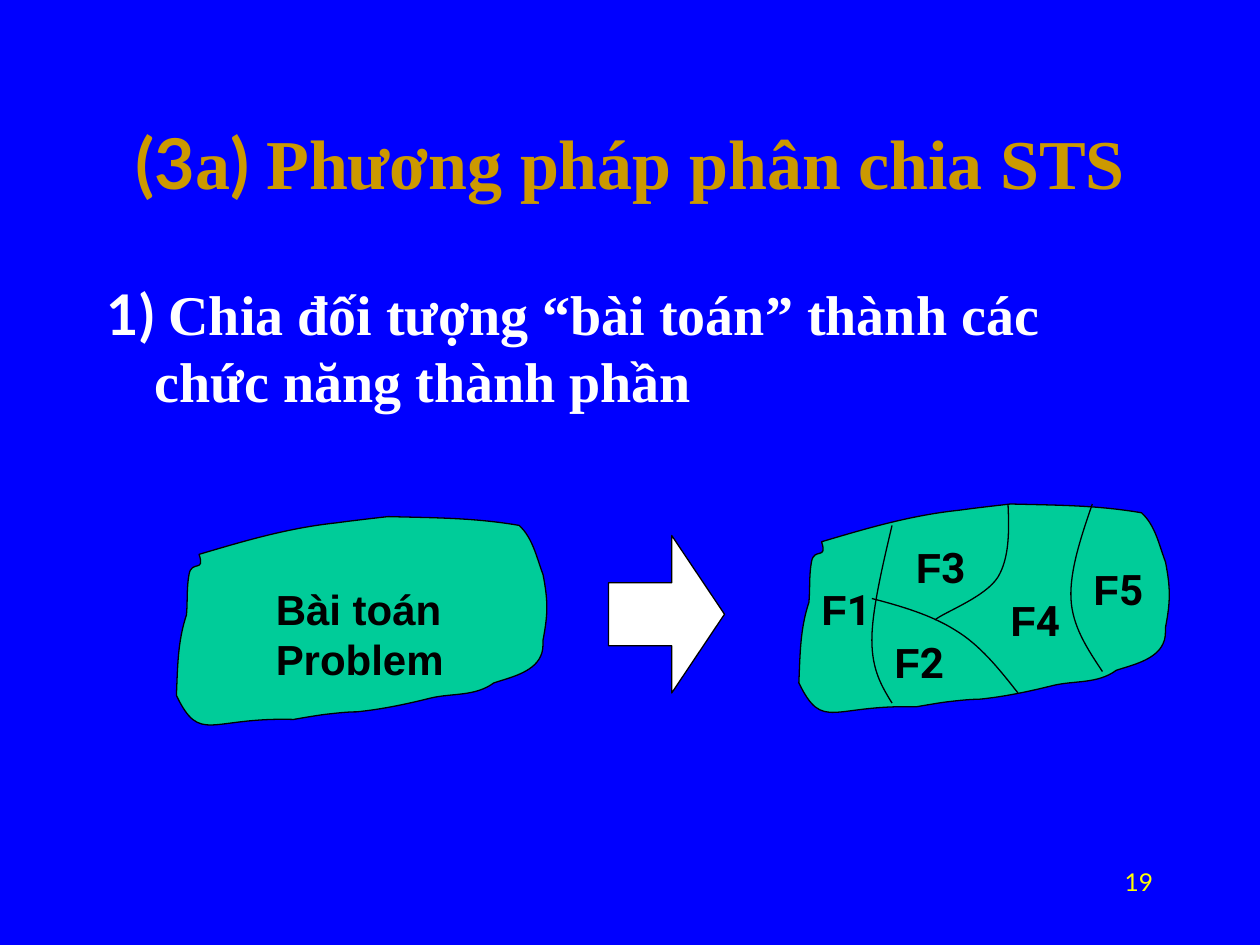
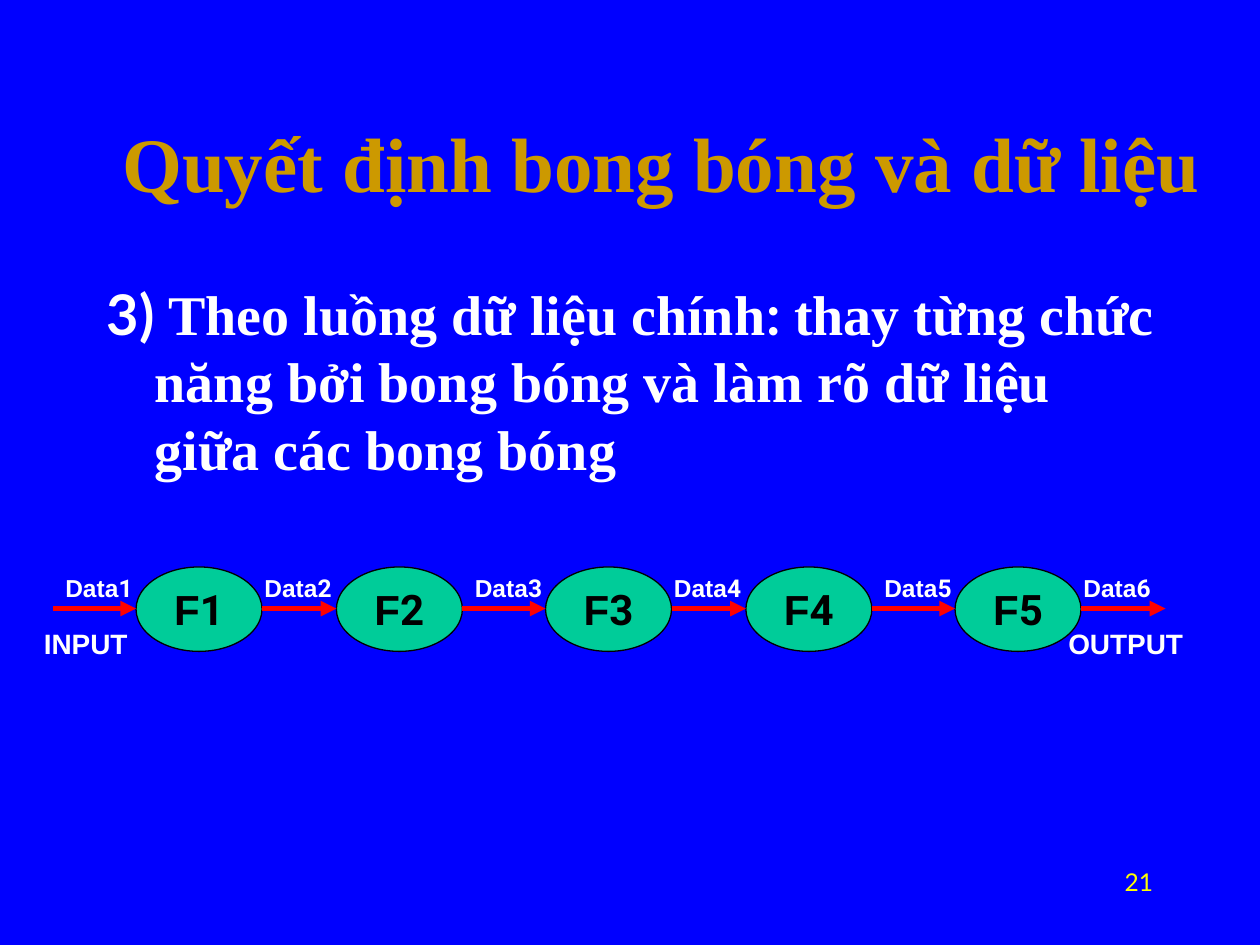
from dataclasses import dataclass

from lxml.etree import SubElement
from pptx import Presentation
from pptx.dml.color import RGBColor
from pptx.enum.shapes import MSO_CONNECTOR, MSO_SHAPE
from pptx.enum.text import MSO_ANCHOR, MSO_AUTO_SIZE, PP_ALIGN
from pptx.oxml.ns import qn
from pptx.util import Inches, Pt

COLORS = {
    "background": "0000FF",
    "title": "CC9900",
    "body": "FFFFFF",
    "page_number": "FFFF00",
    "shape": "00CC99",
    "ink": "000000",
    "flow": "FF0000",
}
SERIF, SANS, DIGITS, LATIN = "Times New Roman", "Arial", "Roboto", "Lato"

Point = tuple[float, float]
Span = tuple[str, str]  # wording, font


@dataclass(frozen=True)
class TextStyle:
    size: float
    color: str
    bold: bool = True
    align: PP_ALIGN = PP_ALIGN.LEFT
    anchor: MSO_ANCHOR = MSO_ANCHOR.TOP
    wrap: bool = False
    hanging: float = 0
    space_before: float = 0


@dataclass(frozen=True)
class Curve:
    """A start followed by cubic segments of two control points and an end."""
    start: Point
    segments: tuple[tuple[float, ...], ...]


@dataclass(frozen=True)
class Label:
    text: str
    left: float
    top: float
    width: float
    height: float


TITLE = TextStyle(44, "title", align=PP_ALIGN.CENTER, anchor=MSO_ANCHOR.MIDDLE, wrap=True)
SMALL_TITLE = TextStyle(40, "title", align=PP_ALIGN.CENTER, anchor=MSO_ANCHOR.MIDDLE, wrap=True)
BODY = TextStyle(32, "body", wrap=True, hanging=0.38, space_before=8)
PAGE_NUMBER = TextStyle(14, "page_number", bold=False, align=PP_ALIGN.RIGHT, wrap=True)
PART = TextStyle(24, "ink")
BUBBLE = TextStyle(24, "ink", align=PP_ALIGN.CENTER, anchor=MSO_ANCHOR.MIDDLE)
DATA = TextStyle(14, "body")
END = TextStyle(16, "body")

PROBLEM_OUTLINE = Curve((1.58, 4.4), (
    (1.95, 4.29, 2.29, 4.19, 2.67, 4.15),
    (2.81, 4.13, 3.08, 4.1, 3.08, 4.1),
    (3.47, 4.11, 3.77, 4.11, 4.12, 4.17),
    (4.23, 4.27, 4.26, 4.43, 4.31, 4.56),
    (4.35, 4.77, 4.35, 4.87, 4.31, 5.08),
    (4.31, 5.13, 4.31, 5.17, 4.29, 5.21),
    (4.23, 5.34, 4.04, 5.38, 3.92, 5.42),
    (3.77, 5.53, 3.59, 5.5, 3.42, 5.54),
    (3.22, 5.59, 3.03, 5.63, 2.83, 5.65),
    (2.75, 5.65, 2.67, 5.66, 2.58, 5.67),
    (2.5, 5.68, 2.33, 5.71, 2.33, 5.71),
    (1.66, 5.69, 1.59, 5.91, 1.4, 5.52),
    (1.41, 5.29, 1.41, 5.09, 1.48, 4.88),
    (1.49, 4.77, 1.48, 4.67, 1.5, 4.56),
    (1.52, 4.44, 1.63, 4.55, 1.58, 4.4),
))
DIVIDED_OFFSET = (4.94, -0.1)
DIVIDERS = (
    Curve((7.08, 4.17), ((7, 4.51, 6.92, 4.85, 6.92, 5.08), (6.92, 5.32, 7, 5.45, 7.08, 5.58))),
    Curve((6.92, 4.75), ((7.15, 4.81, 7.39, 4.88, 7.58, 5), (7.78, 5.12, 7.93, 5.31, 8.08, 5.5))),
    Curve((8, 4), ((8.01, 4.22, 8.01, 4.43, 7.92, 4.58), (7.82, 4.74, 7.49, 4.86, 7.42, 4.92))),
    Curve((8.67, 4), ((8.58, 4.26, 8.49, 4.53, 8.5, 4.75), (8.51, 4.97, 8.63, 5.15, 8.75, 5.33))),
)
PART_PLACES = ((6.42, 4.58), (7, 5), (7.17, 4.25), (7.92, 4.67), (8.58, 4.42))

BUBBLE_LEFTS = (1.08, 2.67, 4.33, 5.92, 7.58)
BUBBLE_TOP, BUBBLE_WIDTH, BUBBLE_HEIGHT = 4.5, 1, 0.67
DATA_LEFTS = (0.42, 2, 3.67, 5.25, 6.92, 8.5)
FLOW_START, FLOW_END, FLOW_Y = 0.42, 9.25, 4.83
END_LABELS = (Label("INPUT", 0.25, 4.92, 0.9, 0.37), Label("OUTPUT", 8.38, 4.92, 1.15, 0.37))


def rgb(name: str) -> RGBColor:
    return RGBColor.from_string(COLORS[name])


def write(shape, lines: list[list[Span]], style: TextStyle) -> None:
    frame = shape.text_frame
    frame.word_wrap = style.wrap
    frame.vertical_anchor = style.anchor
    for index, spans in enumerate(lines):
        para = frame.paragraphs[0] if index == 0 else frame.add_paragraph()
        para.alignment = style.align
        para.space_before = Pt(style.space_before)
        if style.hanging:
            properties = para._p.get_or_add_pPr()
            properties.set("marL", str(Inches(style.hanging)))
            properties.set("indent", str(-Inches(style.hanging)))
        for text, font_name in spans:
            span = para.add_run()
            span.text = text
            span.font.name = font_name
            span.font.size = Pt(style.size)
            span.font.bold = style.bold
            span.font.color.rgb = rgb(style.color)


def add_text(page, left: float, top: float, width: float, height: float,
             lines: list[list[Span]], style: TextStyle) -> None:
    box = page.shapes.add_textbox(Inches(left), Inches(top), Inches(width), Inches(height))
    write(box, lines, style)
    if not style.wrap:
        box.text_frame.auto_size = MSO_AUTO_SIZE.SHAPE_TO_FIT_TEXT


def numbered(word: str, number: int) -> list[list[Span]]:
    return [[(word, SANS), (str(number), DIGITS)]]


def paint(shape, fill: str | None) -> None:
    shape.shadow.inherit = False
    if fill:
        shape.fill.solid()
        shape.fill.fore_color.rgb = rgb(fill)
    else:
        shape.fill.background()
    shape.line.color.rgb = rgb("ink")
    shape.line.width = Pt(0.75)


def add_preset(page, kind: MSO_SHAPE, left: float, top: float,
               width: float, height: float, fill: str):
    shape = page.shapes.add_shape(kind, Inches(left), Inches(top), Inches(width), Inches(height))
    paint(shape, fill)
    return shape


def bend_lines(shape) -> None:
    """Join every three line steps of a freeform into one cubic curve."""
    outline = shape._element.find(".//" + qn("a:path"))
    steps = outline.findall(qn("a:lnTo"))
    for first, second, third in zip(steps[::3], steps[1::3], steps[2::3]):
        first.tag = qn("a:cubicBezTo")
        for step in (second, third):
            first.append(step[0])
            outline.remove(step)


def add_curve(page, curve: Curve, fill: str | None = None, offset: Point = (0, 0)) -> None:
    dx, dy = offset
    points = [curve.start]
    for segment in curve.segments:
        points.extend(zip(segment[::2], segment[1::2]))
    start, *rest = [(Inches(x + dx), Inches(y + dy)) for x, y in points]
    builder = page.shapes.build_freeform(*start)
    builder.add_line_segments(rest, close=fill is not None)
    shape = builder.convert_to_shape()
    bend_lines(shape)
    paint(shape, fill)


def add_flow_arrow(page, start: float, end: float) -> None:
    arrow = page.shapes.add_connector(
        MSO_CONNECTOR.STRAIGHT, Inches(start), Inches(FLOW_Y), Inches(end), Inches(FLOW_Y))
    arrow.line.color.rgb = rgb("flow")
    arrow.line.width = Pt(3)
    SubElement(arrow.line._get_or_add_ln(), qn("a:tailEnd"), type="triangle")
    SubElement(arrow._element.spPr, qn("a:effectLst"))


def add_page(deck, title: list[Span], title_style: TextStyle, title_width: float,
             body: list[Span], number: int):
    page = deck.slides.add_slide(deck.slide_layouts[6])
    page.background.fill.solid()
    page.background.fill.fore_color.rgb = rgb("background")
    add_text(page, 0.75, 0.66, title_width, 1.25, [title], title_style)
    add_text(page, 0.75, 2.17, 8.55, 4.5, [body], BODY)
    add_text(page, 7.17, 6.83, 2.08, 0.5, [[(str(number), LATIN)]], PAGE_NUMBER)
    return page


def build_division_page(deck) -> None:
    page = add_page(
        deck,
        [("(3", LATIN), ("a", SERIF), (") ", LATIN), ("Phương pháp phân chia STS", SERIF)],
        SMALL_TITLE, 8.5,
        [("1) ", LATIN),
         ("Chia đối tượng “bài toán” thành các chức năng thành phần", SERIF)],
        19)
    add_curve(page, PROBLEM_OUTLINE, "shape")
    add_curve(page, PROBLEM_OUTLINE, "shape", DIVIDED_OFFSET)
    add_text(page, 2.09, 4.58, 1.58, 0.9, [[("Bài toán", SANS)], [("Problem", SANS)]], PART)
    for divider in DIVIDERS:
        add_curve(page, divider)
    for number, (left, top) in enumerate(PART_PLACES, 1):
        add_text(page, left, top, 0.63, 0.5, numbered("F", number), PART)
    arrow = add_preset(page, MSO_SHAPE.RIGHT_ARROW, 4.83, 4.25, 0.92, 1.25, "body")
    arrow.adjustments[0] = 0.4
    arrow.adjustments[1] = 0.455


def build_bubble_page(deck) -> None:
    page = add_page(
        deck,
        [("Quyết định bong bóng và dữ liệu", SERIF)], TITLE, 9,
        [("3) ", LATIN), ("Theo luồng dữ liệu chính", SERIF), (": ", LATIN),
         ("thay từng chức năng bởi bong bóng và làm rõ dữ liệu giữa các bong bóng", SERIF)],
        21)
    for number, left in enumerate(BUBBLE_LEFTS, 1):
        bubble = add_preset(page, MSO_SHAPE.OVAL, left, BUBBLE_TOP,
                            BUBBLE_WIDTH, BUBBLE_HEIGHT, "shape")
        write(bubble, numbered("F", number), BUBBLE)
    for number, left in enumerate(DATA_LEFTS, 1):
        add_text(page, left, BUBBLE_TOP, 0.77, 0.34, numbered("Data", number), DATA)
    starts = [FLOW_START] + [left + BUBBLE_WIDTH for left in BUBBLE_LEFTS]
    for start, end in zip(starts, [*BUBBLE_LEFTS, FLOW_END]):
        add_flow_arrow(page, start, end)
    for label in END_LABELS:
        add_text(page, label.left, label.top, label.width, label.height,
                 [[(label.text, SANS)]], END)


def main() -> None:
    deck = Presentation()
    deck.slide_width = Inches(10)
    deck.slide_height = Inches(7.5)
    build_division_page(deck)
    build_bubble_page(deck)
    deck.save("out.pptx")


if __name__ == "__main__":
    main()
